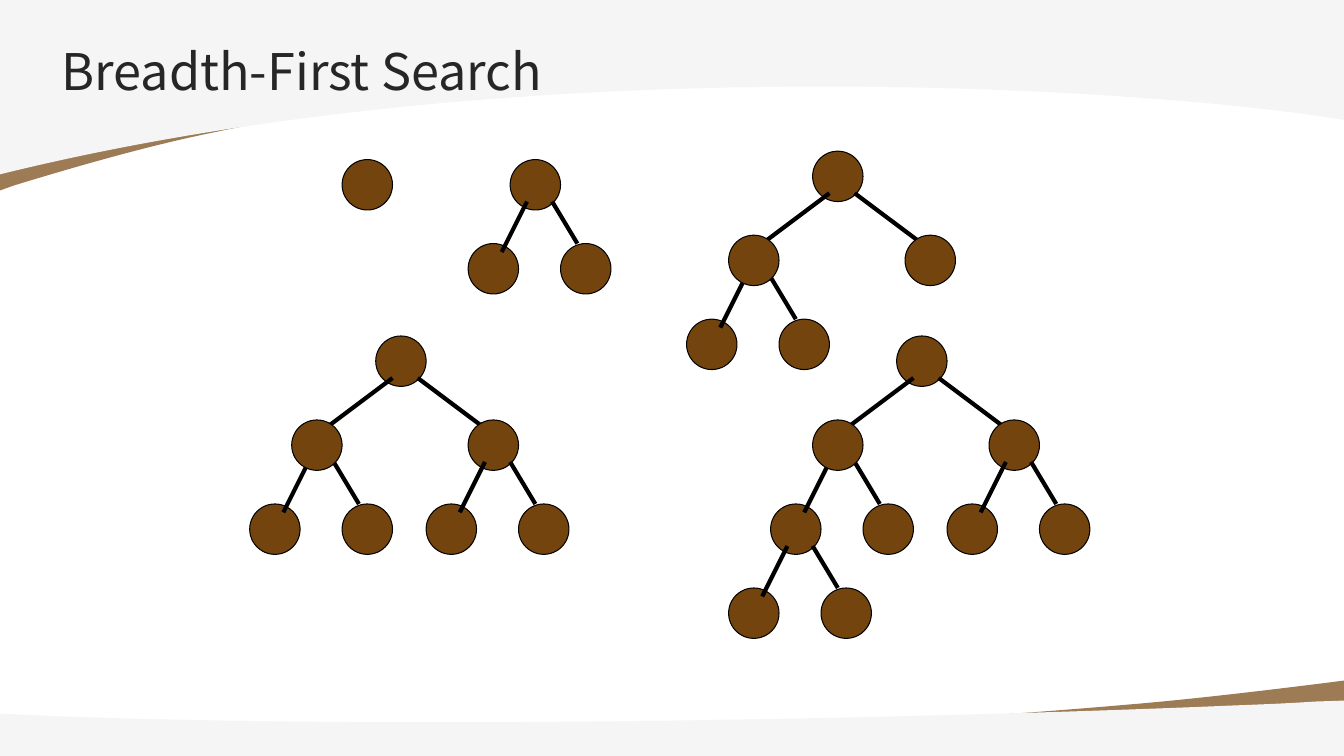
"""Build a slide that shows how breadth-first search grows a binary tree."""
from dataclasses import dataclass

from lxml import etree
from pptx import Presentation
from pptx import util as u
from pptx.dml.color import RGBColor
from pptx.enum import shapes, text
from pptx.oxml.ns import qn

Point = tuple[float, float]
Cell = tuple[int, int]

COLORS = {"brown": "73440E", "gray": "F5F5F5", "edge": "000000", "title": "262626"}
NODE_SIZE = 0.5
GRID_LEFT = 0.06
CELLS_PER_INCH = 12


@dataclass(frozen=True)
class Band:
    """A filled sweep; a segment has one point for a line, three for a curve."""
    color: str
    start: Point
    segments: tuple[tuple[Point, ...], ...]
    opacity: int = 100


@dataclass(frozen=True)
class Fork:
    """Grid offsets from a parent node to its two children and their edges."""
    children: tuple[Cell, Cell]
    edges: tuple[tuple[Cell, Cell], ...]
    edges_below: bool


@dataclass(frozen=True)
class Tree:
    """A root cell with narrow forks placed below or above it in drawing order."""
    root: Cell
    wide: bool = False
    early: tuple[Cell, ...] = ()
    late: tuple[Cell, ...] = ()


NARROW = Fork(((-5, 10), (6, 10)), (((2, 5), (-1, 11)), ((5, 5), (8, 10))), False)
WIDE = Fork(((-10, 10), (11, 10)), (((2, 5), (-6, 11)), ((5, 5), (13, 11))), True)
LEFT, RIGHT = WIDE.children
FAR_LEFT = (-15, 20)

TREES = (
    Tree((40, 19)),
    Tree((96, 18), wide=True, early=(LEFT,)),
    Tree((44, 40), wide=True, early=(LEFT,), late=(RIGHT,)),
    Tree((60, 19), late=((0, 0),)),
    Tree((106, 40), wide=True, early=(LEFT, FAR_LEFT), late=(RIGHT,)),
)

BANDS = (
    Band("brown", (0, 1.89), (
        ((0, 0.22),), ((13.34, 0.22),), ((13.34, 0.91),), ((13.33, 0.91),),
        ((10.32, 0.06), (5.14, 0.67), (2.14, 1.31)),
        ((1.54, 1.43), (0.86, 1.62), (0.14, 1.84))), 70),
    Band("gray", (0, 0), (
        ((13.33, 0),), ((13.33, 1.19),),
        ((11.4, 0.87), (5.17, 0.45), (0, 1.73)))),
    Band("brown", (13.34, 6.75), (
        ((13.34, 7.44),), ((0, 7.44),), ((0, 7.15),), ((0.01, 7.16),),
        ((3.01, 7.5), (8.2, 7.25), (11.19, 6.99)),
        ((11.79, 6.94), (12.47, 6.86), (13.19, 6.77))), 70),
    Band("gray", (13.34, 6.95), (
        ((13.34, 7.5),), ((0, 7.5),), ((0, 7.08),), ((0.44, 7.1),),
        ((3.92, 7.24), (9.1, 7.13), (12.2, 7)),
        ((12.46, 6.99), (12.75, 6.98), (13.04, 6.96)))),
)


def rgb(name: str) -> RGBColor:
    """Look up a named colour."""
    return RGBColor.from_string(COLORS[name])


def shifted(origin: Cell, offset: Cell) -> Cell:
    """Move a grid cell by an offset."""
    return origin[0] + offset[0], origin[1] + offset[1]


def placed(cell: Cell) -> tuple[u.Length, u.Length]:
    """Turn a grid cell into a place on the slide."""
    return (u.Inches(GRID_LEFT + cell[0] / CELLS_PER_INCH),
            u.Inches(cell[1] / CELLS_PER_INCH))


def bend(sweep, segments: tuple[tuple[Point, ...], ...]) -> None:
    """Turn the straight sides that have control points into cubic curves."""
    sides = list(sweep._element.iter(qn("a:lnTo")))
    for side, segment in zip(sides, segments):
        if len(segment) == 3:
            side.tag = qn("a:cubicBezTo")
            for index, (x, y) in enumerate(segment[:2]):
                control = etree.Element(qn("a:pt"))
                control.set("x", str(u.Inches(x) - sweep.left))
                control.set("y", str(u.Inches(y) - sweep.top))
                side.insert(index, control)


def draw_band(slide, band: Band) -> None:
    """Draw one sweep of the background."""
    outline = [band.start, *(segment[-1] for segment in band.segments)]
    corners = [(u.Inches(x), u.Inches(y)) for x, y in outline]
    builder = slide.shapes.build_freeform(*corners[0])
    builder.add_line_segments(corners[1:], close=True)
    sweep = builder.convert_to_shape()
    bend(sweep, band.segments)
    sweep.shadow.inherit = False
    sweep.line.fill.background()
    sweep.fill.solid()
    sweep.fill.fore_color.rgb = rgb(band.color)
    if band.opacity < 100:
        tint = next(sweep._element.spPr.iter(qn("a:srgbClr")))
        etree.SubElement(tint, qn("a:alpha")).set("val", str(band.opacity * 1000))


def draw_title(slide, wording: str) -> None:
    """Write the slide heading."""
    heading = slide.shapes.add_textbox(
        u.Inches(0.53), u.Inches(0.39), u.Inches(12), u.Inches(0.58))
    frame = heading.text_frame
    frame.word_wrap = True
    frame.vertical_anchor = text.MSO_ANCHOR.TOP
    frame.margin_left = frame.margin_top = frame.margin_bottom = u.Inches(0.08)
    frame.margin_right = 0
    line = frame.paragraphs[0]
    line.line_spacing = 0.9
    run = line.add_run()
    run.text = wording
    run.font.size = u.Pt(36)
    run.font.name = "Noto Sans CJK SC"
    run.font.color.rgb = rgb("title")


def draw_node(slide, cell: Cell) -> None:
    """Draw a node with its top-left corner on the given cell."""
    node = slide.shapes.add_shape(
        shapes.MSO_SHAPE.OVAL, *placed(cell), u.Inches(NODE_SIZE), u.Inches(NODE_SIZE))
    node.shadow.inherit = False
    node.fill.solid()
    node.fill.fore_color.rgb = rgb("brown")
    node.line.color.rgb = rgb("edge")
    node.line.width = u.Pt(0.75)


def draw_edge(slide, begin: Cell, end: Cell) -> None:
    """Draw the line from a parent to a child."""
    edge = slide.shapes.add_connector(
        shapes.MSO_CONNECTOR.STRAIGHT, *placed(begin), *placed(end))
    edge.line.color.rgb = rgb("edge")
    edge.line.width = u.Pt(3)
    etree.SubElement(edge._element.spPr, qn("a:effectLst"))


def draw_fork(slide, parent: Cell, fork: Fork) -> None:
    """Draw two children and the edges to them."""
    for drawing_edges in (fork.edges_below, not fork.edges_below):
        if drawing_edges:
            for begin, end in fork.edges:
                draw_edge(slide, shifted(parent, begin), shifted(parent, end))
        else:
            for child in fork.children:
                draw_node(slide, shifted(parent, child))


def draw_tree(slide, tree: Tree) -> None:
    """Draw one stage of the search."""
    for offset in tree.early:
        draw_fork(slide, shifted(tree.root, offset), NARROW)
    draw_node(slide, tree.root)
    if tree.wide:
        draw_fork(slide, tree.root, WIDE)
    for offset in tree.late:
        draw_fork(slide, shifted(tree.root, offset), NARROW)


def main() -> None:
    """Assemble and save the slide."""
    deck = Presentation()
    deck.slide_width, deck.slide_height = u.Inches(13.33), u.Inches(7.5)
    slide = deck.slides.add_slide(deck.slide_layouts[6])
    for band in BANDS:
        draw_band(slide, band)
    draw_title(slide, "Breadth-First Search")
    for tree in TREES:
        draw_tree(slide, tree)
    deck.save("out.pptx")


if __name__ == "__main__":
    main()
